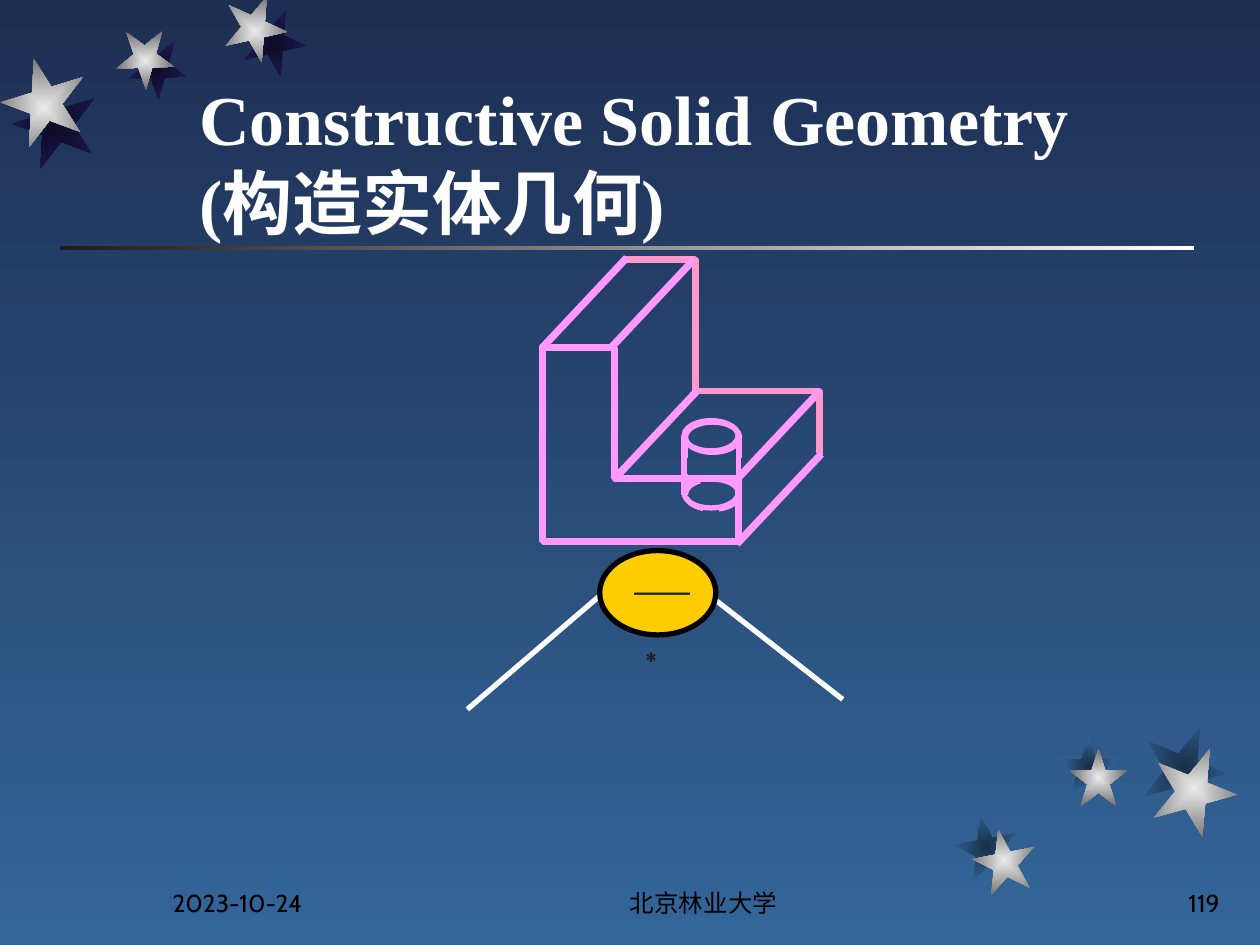
from lxml import etree
from pptx import Presentation
from pptx import util as u
from pptx.dml.color import RGBColor
from pptx.enum import dml, shapes, text
from pptx.oxml import ns

NIGHT = RGBColor(0x1E, 0x2E, 0x53)
SKY = RGBColor(0x33, 0x66, 0x99)
INK = RGBColor(0x1C, 0x1C, 0x1C)
WHITE = RGBColor(0xFF, 0xFF, 0xFF)
BLACK = RGBColor(0, 0, 0)
VIOLET = RGBColor(0xFF, 0x99, 0xFF)
ROSE = RGBColor(0xFF, 0x99, 0xCC)
GOLD = RGBColor(0xFF, 0xCC, 0)
SILVER = (RGBColor(0xEA, 0xEA, 0xEA), RGBColor(0x6C, 0x6C, 0x6C))
TOP_SHADE = (RGBColor(0x0E, 0x0C, 0x26), RGBColor(0x1E, 0x1A, 0x53))
BOTTOM_SHADE = (RGBColor(0x18, 0x2F, 0x47), SKY)

# left, top, size, rotation, shadow shift right, shadow shift down (cm)
TOP_STARS = [(4.5, 0, 1.27, 167.3, 0.38, 0.28),
             (2.34, 0.64, 1.17, 178.3, 0.25, 0.2),
             (0.03, 1.32, 1.7, 200.3, 0.23, 0.43)]
BOTTOM_STARS = [(19.61, 16.71, 1.27, 349, -0.36, -0.28),
                (21.56, 15.09, 1.17, 0, -0.2, -0.23),
                (23.22, 15.04, 1.7, 22, -0.2, -0.43)]

FRONT_FACE = [(10.92, 10.9), (14.88, 10.9), (14.88, 9.63),
              (12.37, 9.63), (12.37, 6.99), (10.92, 6.99)]
BACK_EDGE = [(12.57, 5.21), (14, 5.21), (14, 7.87), (16.51, 7.87), (16.51, 9.14)]
DEPTH_STARTS = [(12.62, 5.18), (13.97, 5.22), (14.05, 7.85), (16.51, 7.87), (16.54, 9.14)]
DEPTH = (-1.7, 1.81)


def cm(*lengths):
    return [u.Cm(length) for length in lengths]


class SlideArtist:
    line_width = u.Pt(3)

    def __init__(self, slide):
        self.slide = slide
        self.canvas = slide.shapes

    def start_group(self):
        """Send the next elements into a new group."""
        self.canvas = self.slide.shapes.add_group_shape().shapes

    def end_group(self):
        self.canvas = self.slide.shapes

    def gradient(self, fill, colours, angle=0, centred=False):
        fill.gradient()
        fill.gradient_angle = angle
        for stop, colour, position in zip(fill.gradient_stops, colours, (0, 1)):
            stop.color.rgb = colour
            stop.position = position
        if centred:
            # python-pptx has no path gradients
            grad = fill._fill._gradFill
            grad.remove(grad.find(ns.qn("a:lin")))
            centre = etree.SubElement(grad, ns.qn("a:path"))
            centre.set("path", "rect")
            rect = etree.SubElement(centre, ns.qn("a:fillToRect"))
            for side in "ltrb":
                rect.set(side, "50000")

    def outline(self, line, colour, dashed=False):
        line.color.rgb = colour
        line.width = self.line_width
        if dashed:
            line.dash_style = dml.MSO_LINE.DASH

    def rule(self, box, colours):
        bar = self.canvas.add_shape(shapes.MSO_SHAPE.RECTANGLE, *cm(*box))
        bar.shadow.inherit = False
        self.gradient(bar.fill, colours)
        bar.line.fill.background()

    def star(self, left, top, size, rotation, colours):
        star = self.canvas.add_shape(shapes.MSO_SHAPE.STAR_5_POINT, *cm(left, top, size, size))
        star.shadow.inherit = False
        star.rotation = rotation
        self.gradient(star.fill, colours, centred=True)
        star.line.fill.background()

    def star_cluster(self, stars, shade):
        for left, top, size, rotation, right, down in stars:
            self.star(left + right, top + down, size, rotation, shade)
        for left, top, size, rotation, *_ in stars:
            self.star(left, top, size, rotation, SILVER)

    def ellipse(self, box, colour, fill=None, dashed=False):
        oval = self.canvas.add_shape(shapes.MSO_SHAPE.OVAL, *cm(*box))
        oval.shadow.inherit = False
        if fill is None:
            oval.fill.background()
        else:
            oval.fill.solid()
            oval.fill.fore_color.rgb = fill
        self.outline(oval.line, colour, dashed)

    def polyline(self, points, colour, close=False):
        corners = [cm(*point) for point in points]
        builder = self.canvas.build_freeform(*corners[0])
        builder.add_line_segments(corners[1:], close=close)
        edge = builder.convert_to_shape()
        edge.shadow.inherit = False
        edge.fill.background()
        self.outline(edge.line, colour)

    def line(self, start, end, colour, dashed=False):
        link = self.canvas.add_connector(shapes.MSO_CONNECTOR.STRAIGHT, *cm(*start, *end))
        self.outline(link.line, colour, dashed)
        etree.SubElement(link._element.spPr, ns.qn("a:effectLst"))

    def block(self, shift):
        """L-shaped solid, moved by shift both ways."""
        def moved(points):
            return [(x + shift, y + shift) for x, y in points]
        self.polyline(moved(FRONT_FACE), VIOLET, close=True)
        self.polyline(moved(BACK_EDGE), ROSE)
        for x, y in moved(DEPTH_STARTS):
            self.line((x, y), (x + DEPTH[0], y + DEPTH[1]), VIOLET)

    def cylinder(self, shift, dashed=False):
        left, top, width, height = 13.79 + shift, 8.48 + shift, 1.09, 0.61
        self.ellipse((left, top, width, height), VIOLET)
        self.ellipse((left, top + 1.15, width, height), VIOLET, dashed=dashed)
        for x in (left, left + width):
            self.line((x, top + 0.3), (x, top + 1.5), VIOLET, dashed)

    def title(self, words, box):
        title = self.slide.shapes.title
        title.left, title.top, title.width, title.height = cm(*box)
        frame = title.text_frame
        frame.text = words
        frame.auto_size = text.MSO_AUTO_SIZE.NONE
        frame.vertical_anchor = text.MSO_ANCHOR.BOTTOM
        heading = frame.paragraphs[0]
        heading.alignment = text.PP_ALIGN.LEFT
        self.style(heading.font, "Times New Roman", 40, WHITE, bold=True)

    def style(self, font, name, size, colour, bold=False):
        font.name = name
        font.size = u.Pt(size)
        font.color.rgb = colour
        font.bold = bold

    def footer(self, words, left, width, alignment):
        frame = self.canvas.add_textbox(*cm(left, 17.35, width, 1.27)).text_frame
        frame.word_wrap = True
        frame.vertical_anchor = text.MSO_ANCHOR.BOTTOM
        frame.text = words
        note = frame.paragraphs[0]
        note.alignment = alignment
        self.style(note.font, "Cabin", 14, BLACK)

    def operator(self, sign, mark, box):
        """Set operator sign followed by a raised mark on the line below."""
        frame = self.canvas.add_textbox(*cm(*box)).text_frame
        frame.word_wrap = True
        label = frame.paragraphs[0]
        for words, name in ((sign, "Noto Sans CJK SC"), (mark, "Arial")):
            run = label.add_run()
            run.text = words
            self.style(run.font, name, 32, INK, bold=True)
        run.font._element.set("baseline", "30000")


def main():
    deck = Presentation()
    deck.slide_width, deck.slide_height = cm(25.4, 19.05)
    slide = deck.slides.add_slide(deck.slide_layouts[5])
    artist = SlideArtist(slide)
    artist.gradient(slide.background.fill, (NIGHT, SKY), angle=270)

    artist.rule((1.22, 4.95, 22.86, 0.09), (INK, WHITE))
    artist.star_cluster(TOP_STARS, TOP_SHADE)
    artist.star_cluster(BOTTOM_STARS, BOTTOM_SHADE)
    artist.footer("2023-10-24", 3.23, 5.28, text.PP_ALIGN.LEFT)
    artist.footer("北京林业大学", 10.16, 8.05, text.PP_ALIGN.CENTER)
    artist.footer("119", 19.56, 5.28, text.PP_ALIGN.RIGHT)
    artist.title("Constructive Solid Geometry\v(构造实体几何)", (3.76, 0.97, 19.05, 4.06))

    artist.start_group()
    artist.block(0.03)
    artist.cylinder(0.03, dashed=True)
    artist.start_group()
    artist.block(0)
    artist.start_group()
    artist.cylinder(0)
    artist.end_group()

    artist.line((12.09, 12.01), (9.42, 14.3), WHITE)
    artist.line((14.25, 11.96), (16.99, 14.1), WHITE)
    artist.ellipse((12.09, 11.1, 2.34, 1.7), BLACK, fill=GOLD)
    artist.operator("─", "∗", (12.55, 11.15, 1.52, 1.63))
    deck.save("out.pptx")


if __name__ == "__main__":
    main()
